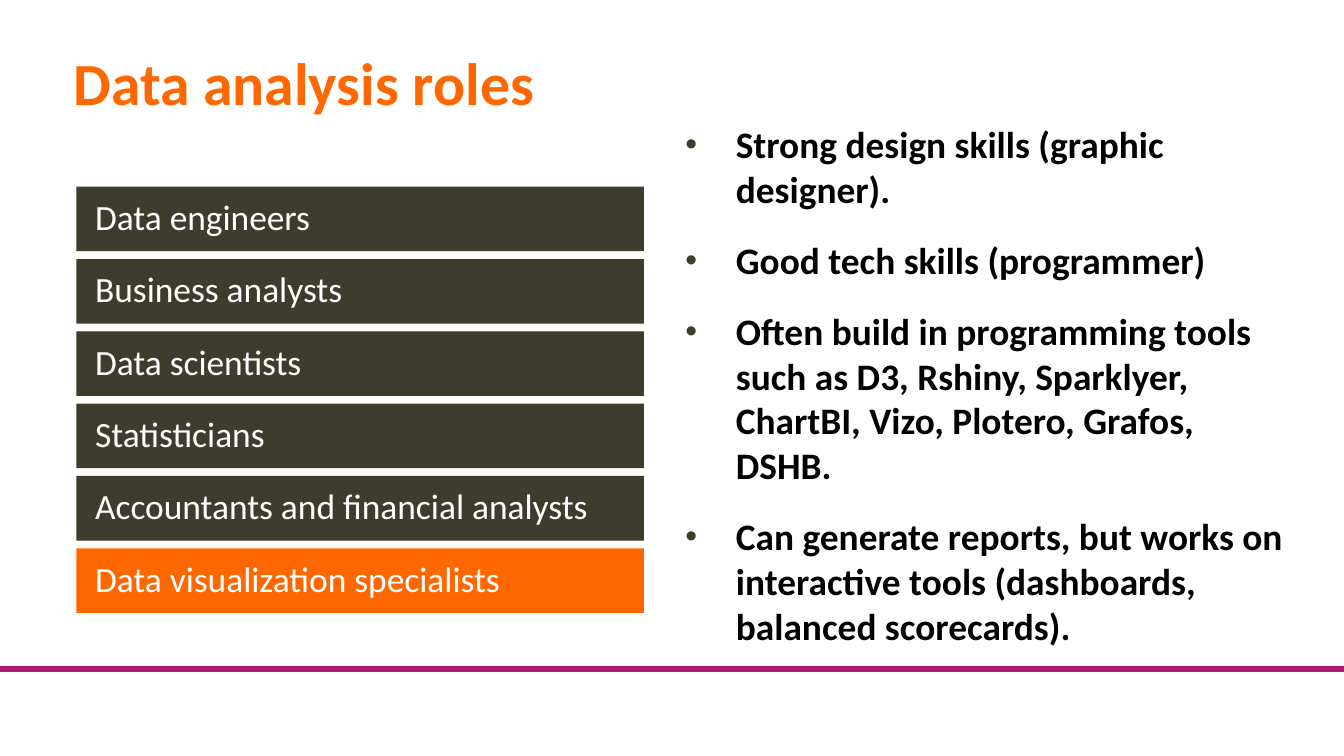
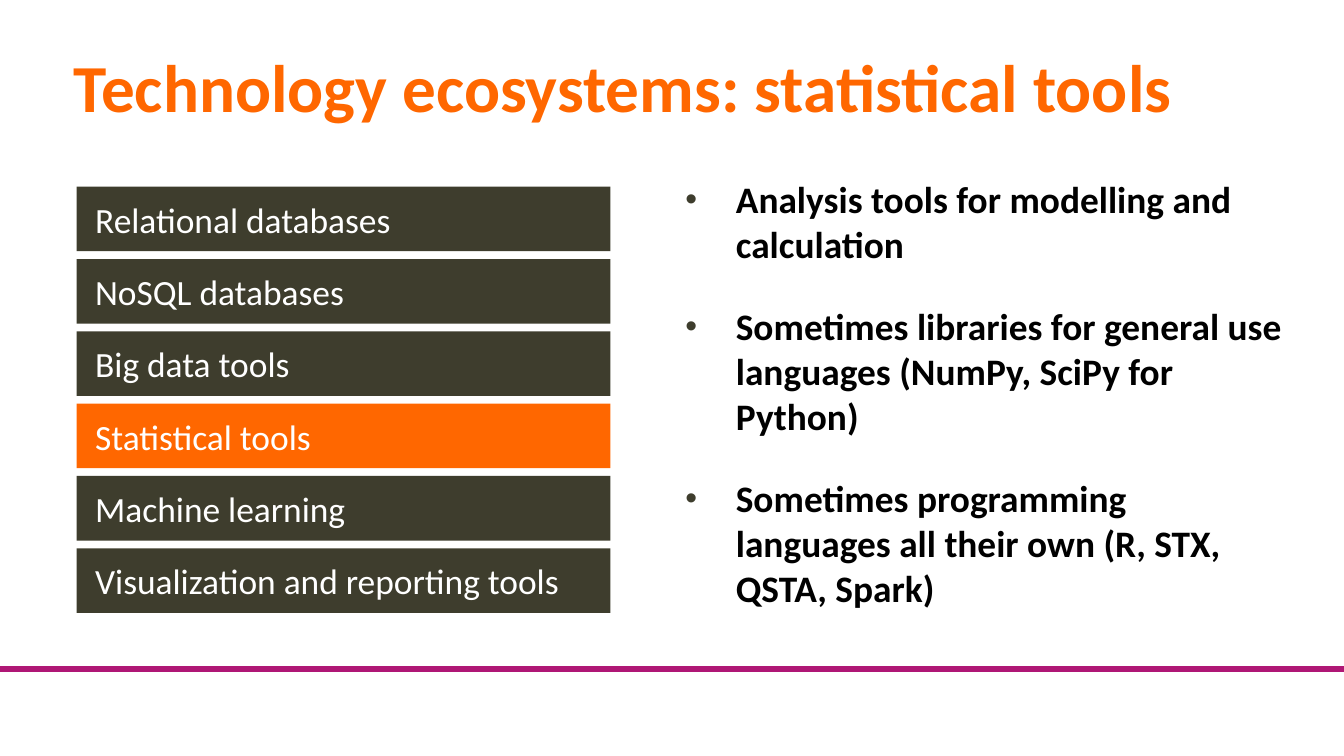
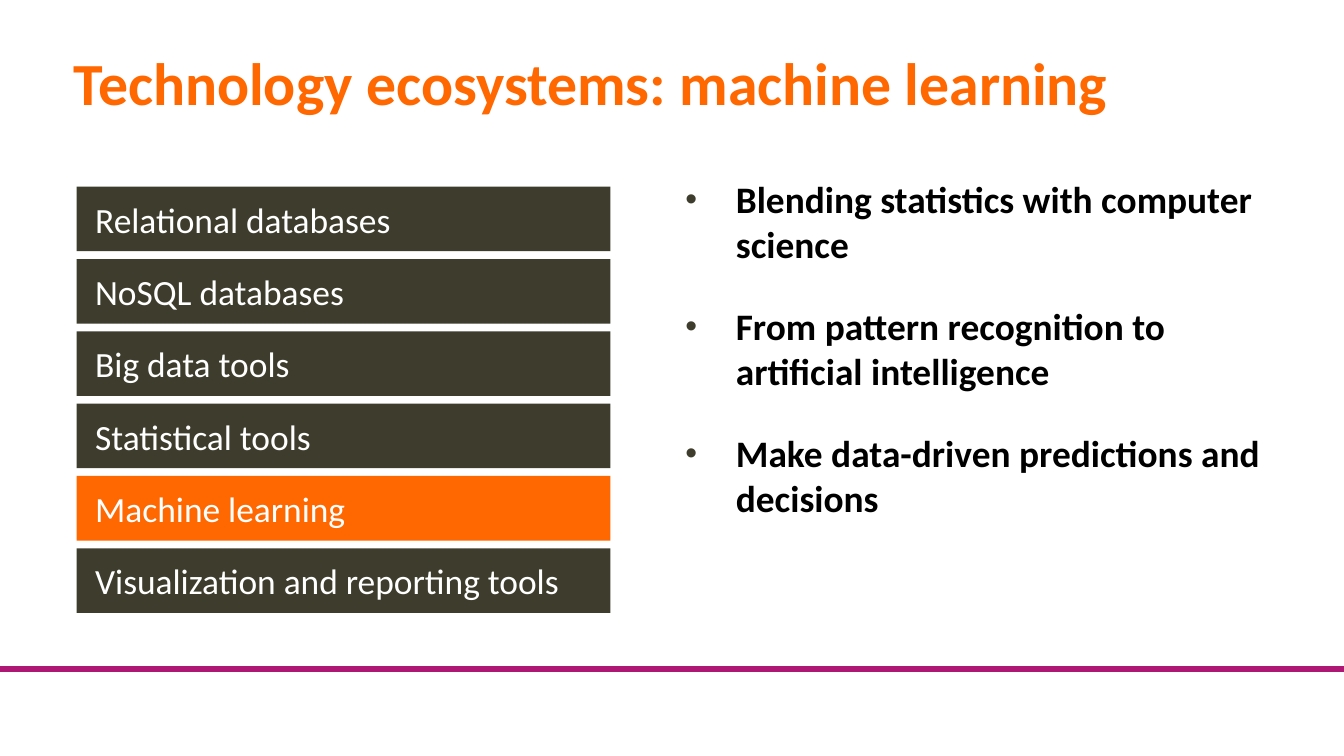
import pptx
import pptx.dml.color
import pptx.enum.shapes
import pptx.enum.text
import pptx.util
from lxml import etree
from pptx.oxml.ns import qn

Pt = pptx.util.Pt

ORANGE, DARK, PURPLE = "FF6700", "3E3D2D", "AF1775"
WHITE, BLACK = "FFFFFF", "000000"
FONT = "Calibri"

PAGE_WIDTH, PAGE_HEIGHT = 720, 405
RULE_TOP = 358.5
TITLE_BOX = (39.5, 29, 648.5, 47)
BAR_LEFT, BAR_TOP, BAR_HEIGHT, BAR_STEP = 41, 100, 34.6, 38.75
BAR_INSET = 10
POINTS_LEFT, POINTS_WIDTH, POINTS_HEIGHT = 367.2, 320.5, 263
POINTS_INDENT = 27

ROLES = ["Data engineers", "Business analysts", "Data scientists", "Statisticians",
         "Accountants and financial analysts", "Data visualization specialists"]
TOOLS = ["Relational databases", "NoSQL databases", "Big data tools", "Statistical tools",
         "Machine learning", "Visualization and reporting tools"]

ROLE_STYLE = {"bars": ROLES, "bar_width": 304, "bar_spacing": 0.9,
              "points_top": 65, "space_before": 6}
TOOL_STYLE = {"bars": TOOLS, "bar_width": 286, "bar_spacing": 1.0,
              "points_top": 94.5, "space_before": 12}

SLIDES = [
    {"title": "Data analysis roles", "title_size": 32, "style": ROLE_STYLE,
     "active": "Data visualization specialists",
     "points": ["Strong design skills (graphic designer).",
                "Good tech skills (programmer)",
                "Often build in programming tools such as D3, Rshiny, Sparklyer, "
                "ChartBI, Vizo, Plotero, Grafos, DSHB.",
                "Can generate reports, but works on interactive tools "
                "(dashboards, balanced scorecards)."]},
    {"title": "Technology ecosystems: statistical tools", "title_size": 36,
     "style": TOOL_STYLE, "active": "Statistical tools",
     "points": ["Analysis tools for modelling and calculation",
                "Sometimes libraries for general use languages (NumPy, SciPy for Python)",
                "Sometimes programming languages all their own (R, STX, QSTA, Spark)"]},
    {"title": "Technology ecosystems: machine learning", "title_size": 32,
     "style": TOOL_STYLE, "active": "Machine learning",
     "points": ["Blending statistics with computer science",
                "From pattern recognition to artificial intelligence",
                "Make data-driven predictions and decisions"]},
]


def color(code):
    return pptx.dml.color.RGBColor.from_string(code)


def add_span(para, text, size, code, bold=False):
    span = para.add_run()
    span.text = text
    span.font.name = FONT
    span.font.size = Pt(size)
    span.font.bold = bold
    span.font.color.rgb = color(code)


def set_frame(frame, inset, anchor):
    frame.word_wrap = True
    frame.auto_size = pptx.enum.text.MSO_AUTO_SIZE.NONE
    frame.vertical_anchor = anchor
    frame.margin_left = frame.margin_right = Pt(inset)
    frame.margin_top = frame.margin_bottom = Pt(inset)


def add_bullet(para):
    properties = para._p.get_or_add_pPr()
    properties.set("marL", str(Pt(POINTS_INDENT)))
    properties.set("indent", str(-Pt(POINTS_INDENT)))
    bullet_color = etree.SubElement(properties, qn("a:buClr"))
    etree.SubElement(bullet_color, qn("a:srgbClr"), val=DARK)
    etree.SubElement(properties, qn("a:buSzPct"), val="90000")
    etree.SubElement(properties, qn("a:buFont"), typeface="Arial")
    etree.SubElement(properties, qn("a:buChar"), char="•")


def add_rule(page):
    rule = page.shapes.add_connector(pptx.enum.shapes.MSO_CONNECTOR.STRAIGHT,
                                     0, Pt(RULE_TOP), Pt(PAGE_WIDTH), Pt(RULE_TOP))
    rule.line.color.rgb = color(PURPLE)
    rule.line.width = Pt(3)
    etree.SubElement(rule._element.spPr, qn("a:effectLst"))


def set_title(page, text, size):
    title = page.shapes.title
    title.left, title.top, title.width, title.height = map(Pt, TITLE_BOX)
    set_frame(title.text_frame, 0, pptx.enum.text.MSO_ANCHOR.TOP)
    para = title.text_frame.paragraphs[0]
    para.alignment = pptx.enum.text.PP_ALIGN.LEFT
    para.line_spacing = 0.9
    add_span(para, text, size, ORANGE, bold=True)


def add_bars(page, style, active):
    group = page.shapes.add_group_shape()
    for index, label in enumerate(style["bars"]):
        bar = group.shapes.add_shape(
            pptx.enum.shapes.MSO_SHAPE.RECTANGLE,
            Pt(BAR_LEFT), Pt(BAR_TOP + index * BAR_STEP), Pt(style["bar_width"]), Pt(BAR_HEIGHT))
        bar.shadow.inherit = False
        bar.fill.solid()
        bar.fill.fore_color.rgb = color(ORANGE if label == active else DARK)
        bar.line.fill.background()
        set_frame(bar.text_frame, BAR_INSET, pptx.enum.text.MSO_ANCHOR.MIDDLE)
        para = bar.text_frame.paragraphs[0]
        para.alignment = pptx.enum.text.PP_ALIGN.LEFT
        para.line_spacing = style["bar_spacing"]
        add_span(para, label, 19, WHITE)


def add_points(page, style, points):
    box = page.shapes.add_textbox(Pt(POINTS_LEFT), Pt(style["points_top"]),
                                  Pt(POINTS_WIDTH), Pt(POINTS_HEIGHT))
    frame = box.text_frame
    set_frame(frame, 0, pptx.enum.text.MSO_ANCHOR.TOP)
    for index, point in enumerate(points):
        para = frame.add_paragraph() if index else frame.paragraphs[0]
        add_bullet(para)
        para.space_before = Pt(style["space_before"] if index else 0)
        para.space_after = Pt(8)
        add_span(para, point, 20, BLACK, bold=True)


def main():
    deck = pptx.Presentation()
    deck.slide_width, deck.slide_height = Pt(PAGE_WIDTH), Pt(PAGE_HEIGHT)
    for content in SLIDES:
        page = deck.slides.add_slide(deck.slide_layouts[5])
        add_rule(page)
        set_title(page, content["title"], content["title_size"])
        add_bars(page, content["style"], content["active"])
        add_points(page, content["style"], content["points"])
    deck.save("out.pptx")


if __name__ == "__main__":
    main()
